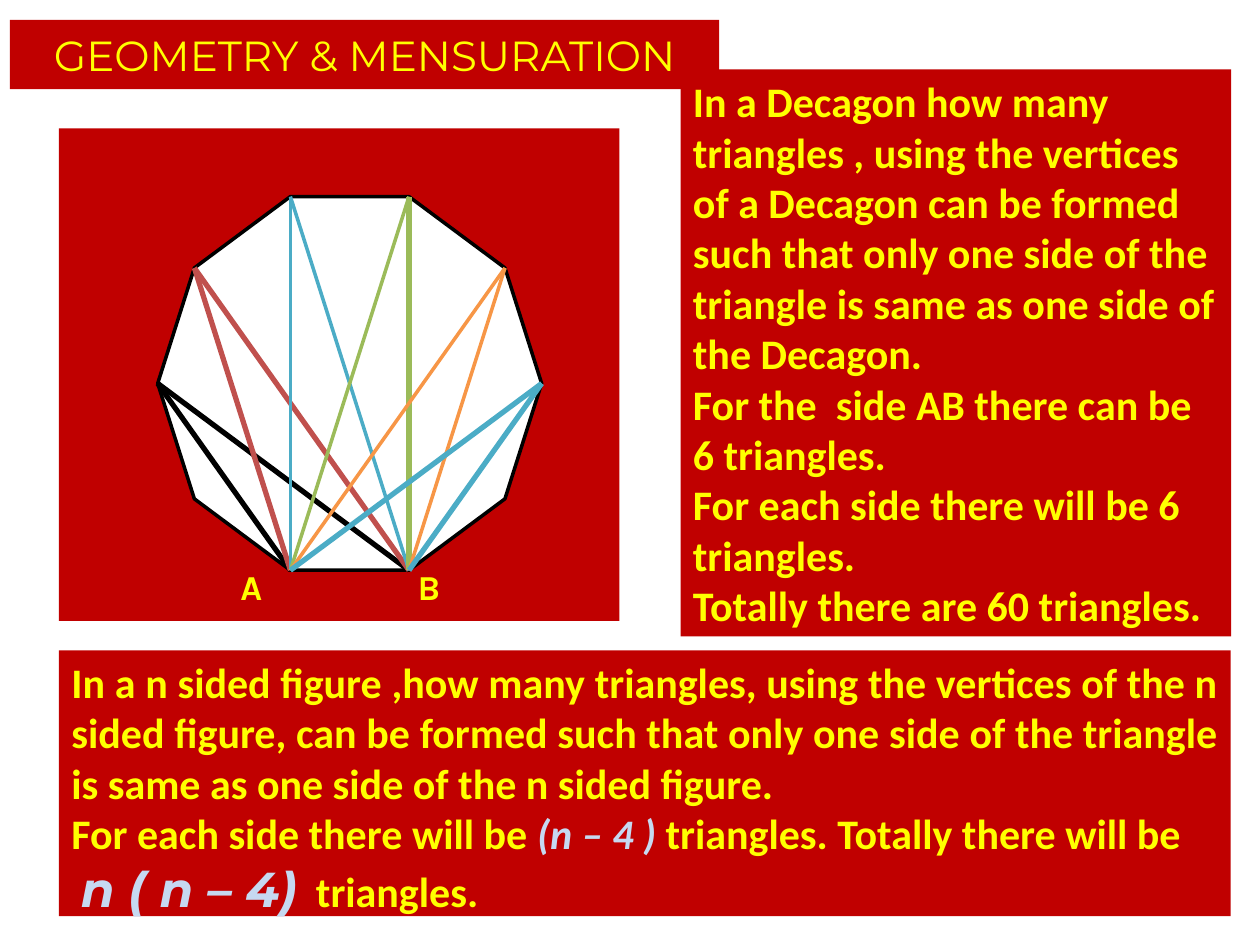
from math import cos, pi, sin

from lxml import etree
from pptx import Presentation
from pptx.dml.color import RGBColor
from pptx.enum.shapes import MSO_CONNECTOR, MSO_SHAPE
from pptx.enum.text import MSO_ANCHOR, MSO_AUTO_SIZE, PP_ALIGN
from pptx.oxml.ns import qn
from pptx.util import Cm, Pt

LEFT, CENTER, JUSTIFY = PP_ALIGN.LEFT, PP_ALIGN.CENTER, PP_ALIGN.JUSTIFY
TOP, MIDDLE = MSO_ANCHOR.TOP, MSO_ANCHOR.MIDDLE
RECTANGLE, STRAIGHT = MSO_SHAPE.RECTANGLE, MSO_CONNECTOR.STRAIGHT

THEME = {
    "panel": "C00000", "text": "FFFF00", "formula": "C6D9F1",
    "decagon": "FFFFFF", "outline": "000000",
    "heading_font": "Montserrat", "body_font": "Calibri", "label_font": "Karla",
    "body_size": 24, "label_size": 20, "formula_size": 28,
}

# Boxes are left, top, width, height in cm
TITLE = "GEOMETRY & MENSURATION"
TITLE_BOX = (0.2, 0.4, 14.3, 1.4)
FIGURE_BOX = (1.19, 2.59, 11.3, 9.93)
DECAGON_BOX = (13.72, 1.4, 11.1, 11.43)
GENERAL_BOX = (1.19, 13.11, 23.62, 5.36)

FORMULA = {"color": THEME["formula"], "italic": True}
BIG_FORMULA = {**FORMULA, "size": THEME["formula_size"], "font": THEME["heading_font"]}

# Each paragraph is a list of (text, format) runs
DECAGON_TEXT = [
    [("In a Decagon how many triangles , using the vertices of a Decagon can be "
      "formed such that only one side of the triangle is same as one side of the "
      "Decagon.", {})],
    [("For the  side AB there can be 6 triangles.", {})],
    [("For each side there will be 6 triangles.", {})],
    [("Totally there are 60 triangles.", {})],
]
GENERAL_TEXT = [
    [("In a n sided figure ,how many triangles, using the vertices of the n sided "
      "figure, can be formed such that only one side of the triangle is same as one "
      "side of the n sided figure.", {})],
    [("For each side there will be ", {}), ("(n – 4 )", FORMULA),
     (" triangles. Totally there will be", {})],
    [(" ", {}), ("n ( n – 4)", BIG_FORMULA), ("  triangles.", {})],
]

# Vertices run clockwise from the leftmost one
SIDES = 10
CENTRE, RADII = (7.05, 7.73), (3.87, 3.96)
A, B = 8, 7
# One triangle on AB per apex vertex: colour, width to A, width to B
TRIANGLES = [
    ("000000", 3, 3), ("C0504D", 3, 3), ("4BACC6", 2, 2),
    ("9BBB59", 2, 3), ("F79646", 2, 2), ("4BACC6", 3, 3),
]
LABELS = [("A", 4.37), ("B", 7.95)]
LABEL_TOP, LABEL_SIZE = 11.13, 1.4


def rgb(color):
    return RGBColor.from_string(color)


def place(sp, box):
    sp.left, sp.top, sp.width, sp.height = (Cm(v) for v in box)


def add_run(p, text, size=THEME["body_size"], font=THEME["body_font"],
            color=THEME["text"], bold=True, italic=False):
    r = p.add_run()
    r.text = text
    r.font.size, r.font.name = Pt(size), font
    r.font.bold, r.font.italic = bold, italic
    r.font.color.rgb = rgb(color)


def write(sp, paragraphs, aligns, anchor=TOP, **style):
    tf = sp.text_frame
    tf.word_wrap, tf.auto_size, tf.vertical_anchor = True, MSO_AUTO_SIZE.NONE, anchor
    for i, (runs, align) in enumerate(zip(paragraphs, aligns)):
        p = tf.add_paragraph() if i else tf.paragraphs[0]
        p.alignment = align
        for text, extra in runs:
            add_run(p, text, **{**style, **extra})


def fill(sp, color):
    sp.fill.solid()
    sp.fill.fore_color.rgb = rgb(color)


def add_panel(s, box):
    sp = s.shapes.add_shape(RECTANGLE, *(Cm(v) for v in box))
    sp.shadow.inherit = False
    fill(sp, THEME["panel"])
    sp.line.fill.background()
    return sp


def add_line(s, start, end, color, width):
    line = s.shapes.add_connector(STRAIGHT, *start, *end)
    line.line.color.rgb = rgb(color)
    line.line.width = Pt(width)
    etree.SubElement(line._element.spPr, qn("a:effectLst"))


def add_decagon(s):
    """Draw the decagon and the triangles that stand on side AB."""
    angles = [pi + 2 * pi * k / SIDES for k in range(SIDES)]
    points = [(Cm(CENTRE[0] + RADII[0] * cos(a)), Cm(CENTRE[1] + RADII[1] * sin(a)))
              for a in angles]
    builder = s.shapes.build_freeform(*points[0])
    builder.add_line_segments(points[1:], close=True)
    sp = builder.convert_to_shape()
    sp.shadow.inherit = False
    fill(sp, THEME["decagon"])
    sp.line.color.rgb = rgb(THEME["outline"])
    sp.line.width = Pt(2)
    for apex, (color, *widths) in zip(points, TRIANGLES):
        for corner, width in zip((A, B), widths):
            add_line(s, apex, points[corner], color, width)


def main():
    prs = Presentation()
    prs.slide_width, prs.slide_height = Cm(25.4), Cm(19.05)
    s = prs.slides.add_slide(prs.slide_layouts[5])

    title = s.shapes.title
    place(title, TITLE_BOX)
    fill(title, THEME["panel"])
    write(title, [[(TITLE, {})]], [CENTER], MIDDLE,
          font=THEME["heading_font"], bold=False)

    add_panel(s, FIGURE_BOX)
    write(add_panel(s, DECAGON_BOX), DECAGON_TEXT, [LEFT] * 4)
    add_decagon(s)
    write(add_panel(s, GENERAL_BOX), GENERAL_TEXT, [JUSTIFY, LEFT, LEFT])

    for name, left in LABELS:
        label = s.shapes.add_textbox(Cm(left), Cm(LABEL_TOP),
                                     Cm(LABEL_SIZE), Cm(LABEL_SIZE))
        write(label, [[(name, {})]], [CENTER], MIDDLE,
              font=THEME["label_font"], size=THEME["label_size"])

    prs.save("out.pptx")


if __name__ == "__main__":
    main()
